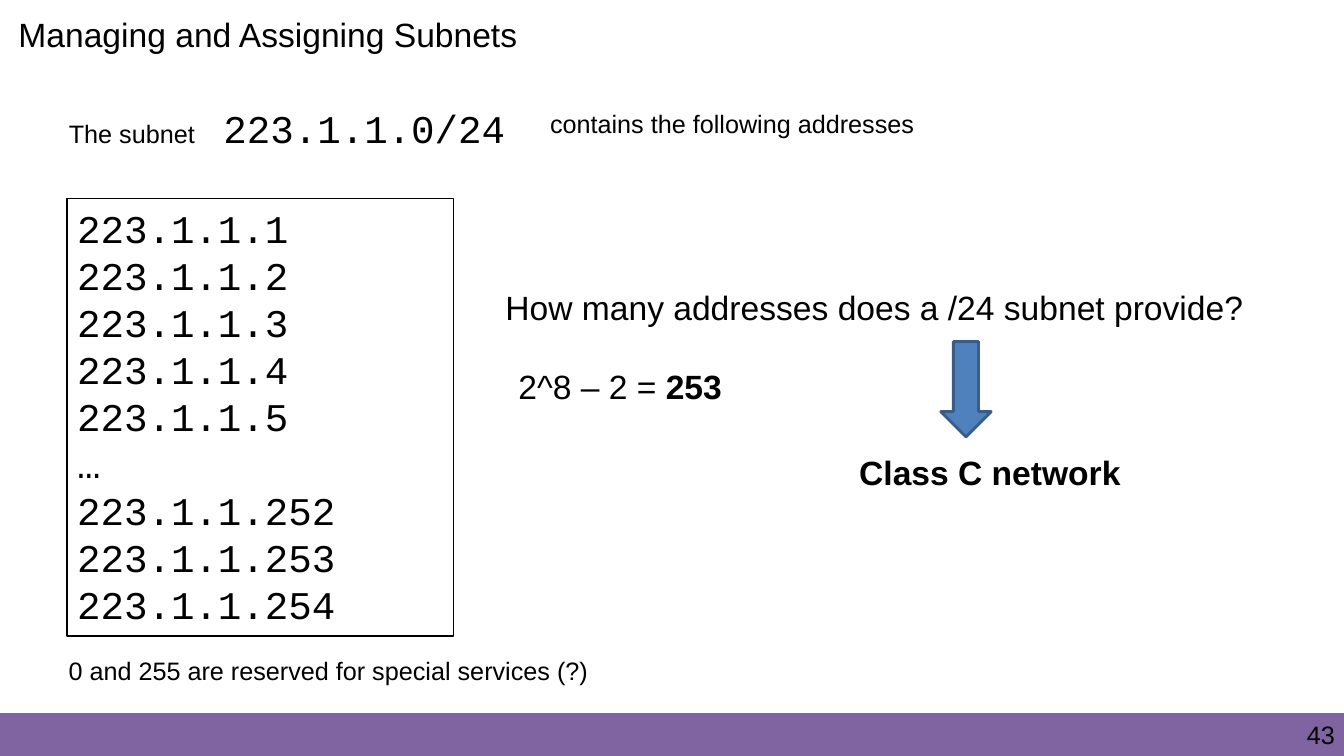
from dataclasses import dataclass
from pptx import Presentation
from pptx.dml.color import RGBColor
from pptx.enum.shapes import MSO_SHAPE
from pptx.enum.text import MSO_ANCHOR, PP_ALIGN
from pptx.util import Pt


@dataclass(frozen=True)
class Theme:
    ink: RGBColor = RGBColor(0x00, 0x00, 0x00)
    band: RGBColor = RGBColor(0x80, 0x63, 0xA1)
    arrow: RGBColor = RGBColor(0x4F, 0x81, 0xBC)
    edge: RGBColor = RGBColor(0x38, 0x5D, 0x89)
    sans: str = "Arial"
    mono: str = "Courier New"
    small: int = 18
    large: int = 24
    code: int = 28


THEME = Theme()


def add_run(para, text, size, font=THEME.sans, bold=False):
    run = para.add_run()
    run.text = text
    run.font.size = Pt(size)
    run.font.name = font
    run.font.bold = bold
    run.font.color.rgb = THEME.ink


def set_frame(frame, left=0, top=0):
    frame.word_wrap = True
    frame.vertical_anchor = MSO_ANCHOR.TOP
    frame.margin_left, frame.margin_top = Pt(left), Pt(top)
    frame.margin_right = frame.margin_bottom = 0


def add_label(slide, box, runs, size, font=THEME.sans, top=1.7):
    """Place one line of text; runs are (text, bold) pairs."""
    label = slide.shapes.add_textbox(*map(Pt, box))
    set_frame(label.text_frame, 1, top)
    para = label.text_frame.paragraphs[0]
    for text, bold in runs:
        add_run(para, text, size, font, bold)
    return para


def add_block(slide, kind, box, fill=None, line=None, width=1):
    block = slide.shapes.add_shape(kind, *map(Pt, box))
    block.shadow.inherit = False
    if fill is None:
        block.fill.background()
    else:
        block.fill.solid()
        block.fill.fore_color.rgb = fill
    block.line.color.rgb = line
    block.line.width = Pt(width)
    return block


def add_footer(slide, x, y, w, h):
    # Band with the page number at its right end
    add_block(slide, MSO_SHAPE.RECTANGLE, (x, y, w, h), THEME.band, THEME.band)
    para = add_label(slide, (x + w - 32, y + 5, 30, 22), [("43", False)],
                     THEME.small, top=0)
    para.alignment = PP_ALIGN.CENTER
    para.line_spacing = Pt(20.9)


def add_head(slide, x, y):
    # Slide title and the sentence that names the subnet
    add_label(slide, (x, y, 370, 31),
              [("Managing and Assigning Subnets", False)], THEME.large)
    add_label(slide, (x + 36, y + 75, 92, 24),
              [("The subnet", False)], THEME.small)
    add_label(slide, (x + 146.4, y + 65, 210, 35),
              [("223.1.1.0/24", False)], THEME.code, THEME.mono)
    add_label(slide, (x + 379.7, y + 67.8, 270, 24),
              [("contains the following addresses", False)], THEME.small)


def add_list(slide, x, y, w, h):
    # Framed addresses with the remark below
    frame = add_block(slide, MSO_SHAPE.RECTANGLE, (x, y, w, h),
                      line=THEME.ink).text_frame
    set_frame(frame, 7.2, 4)
    hosts = [f"223.1.1.{n}" for n in (1, 2, 3, 4, 5)]
    hosts += ["…"] + [f"223.1.1.{n}" for n in (252, 253, 254)]
    for i, host in enumerate(hosts):
        para = frame.add_paragraph() if i else frame.paragraphs[0]
        para.alignment = PP_ALIGN.LEFT
        para.line_spacing = Pt(33.6)
        add_run(para, host, THEME.code, THEME.mono)
    note = add_label(slide, (x, y + h + 14.4, 380, 22),
                     [("0 and 255 are reserved for special services (?)", False)],
                     THEME.small, top=0)
    note.line_spacing = Pt(20.9)


def add_quiz(slide, x, y):
    # Question, its answer, and the arrow to the network class
    add_label(slide, (x, y, 535, 31),
              [("How many addresses does a /24 subnet provide?", False)],
              THEME.large)
    add_label(slide, (x + 9.3, y + 56.4, 152, 31),
              [("2^8 – 2 = ", False), ("253", True)], THEME.large)
    add_block(slide, MSO_SHAPE.DOWN_ARROW, (x + 312, y + 41, 36, 68),
              THEME.arrow, THEME.edge, 2)
    add_label(slide, (x + 252.7, y + 118, 195, 31),
              [("Class C network", True)], THEME.large)


def main():
    deck = Presentation()
    deck.slide_width, deck.slide_height = Pt(960), Pt(540)
    slide = deck.slides.add_slide(deck.slide_layouts[6])
    add_footer(slide, 0, 509.5, 960, 30.5)
    add_head(slide, 12.2, 8)
    add_list(slide, 48, 142, 276, 312.5)
    add_quiz(slide, 360, 203)
    deck.save("out.pptx")


if __name__ == "__main__":
    main()
